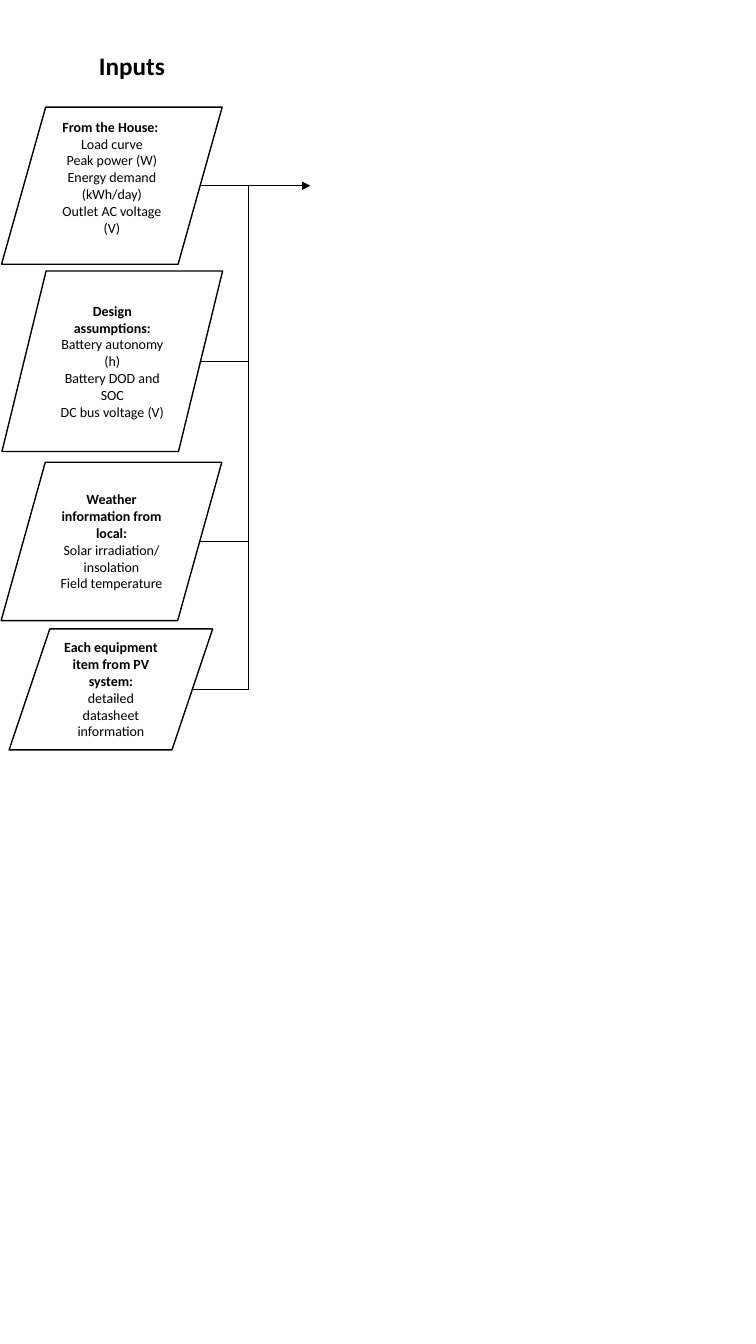
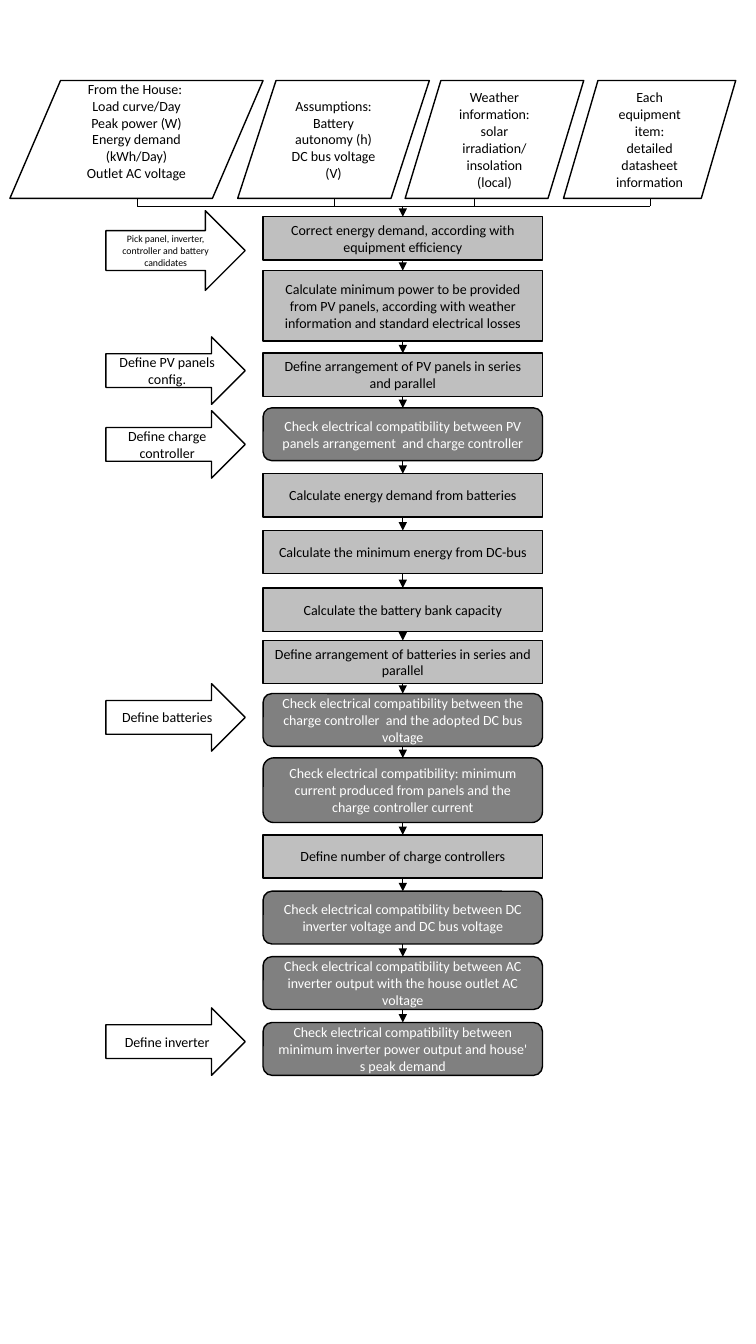
from itertools import pairwise
from lxml import etree
from pptx import Presentation
from pptx import util as u
from pptx.dml import color
from pptx.enum import shapes, text
from pptx.oxml import ns

Cm = u.Cm
COLORS = {"ink": "000000", "paper": "FFFFFF", "step": "BFBFBF", "check": "808080"}
FONT = "Calibri"
KINDS = {
    "input": (shapes.MSO_SHAPE.FLOWCHART_DATA, "paper", "ink"),
    "choice": (shapes.MSO_SHAPE.RIGHT_ARROW, "paper", "ink"),
    "step": (shapes.MSO_SHAPE.FLOWCHART_PROCESS, "step", "ink"),
    "check": (shapes.MSO_SHAPE.FLOWCHART_ALTERNATE_PROCESS, "check", "paper"),
}


def box(s, kind, x, y, w, h, lines, size=10, bold_first=False, bottom=0.13):
    preset, fill, ink = KINDS[kind]
    sp = s.shapes.add_shape(preset, Cm(x), Cm(y), Cm(w), Cm(h))
    sp.shadow.inherit = False
    sp.fill.solid()
    sp.fill.fore_color.rgb = color.RGBColor.from_string(COLORS[fill])
    sp.line.color.rgb = color.RGBColor.from_string(COLORS["ink"])
    sp.line.width = u.Pt(1)
    tf = sp.text_frame
    for name, value in {"word_wrap": True, "margin_bottom": Cm(bottom),
                        "vertical_anchor": text.MSO_ANCHOR.MIDDLE}.items():
        setattr(tf, name, value)
    for i, line in enumerate(lines):
        p = tf.add_paragraph() if i else tf.paragraphs[0]
        p.alignment = text.PP_ALIGN.CENTER
        r = p.add_run()
        r.text = line
        for name, value in {"name": FONT, "size": u.Pt(size),
                            "bold": bold_first and i == 0}.items():
            setattr(r.font, name, value)
        r.font.color.rgb = color.RGBColor.from_string(COLORS[ink])


def wire(s, x1, y1, x2, y2, arrow=False, bend=None):
    kind = shapes.MSO_CONNECTOR.STRAIGHT if bend is None else shapes.MSO_CONNECTOR.ELBOW
    c = s.shapes.add_connector(kind, Cm(x1), Cm(y1), Cm(x2), Cm(y2))
    c.line.color.rgb = color.RGBColor.from_string(COLORS["ink"])
    c.line.width = u.Pt(0.5)
    if bend is not None:
        guides = c._element.spPr.find(ns.qn("a:prstGeom")).get_or_add_avLst()
        share = round((bend - x1) / (x2 - x1) * 100000)
        etree.SubElement(guides, ns.qn("a:gd"), name="adj1", fmla=f"val {share}")
    if arrow:
        etree.SubElement(c.line._get_or_add_ln(), ns.qn("a:tailEnd"), type="triangle")
    etree.SubElement(c._element.spPr, ns.qn("a:effectLst"))
    return c


prs = Presentation()
prs.slide_width, prs.slide_height = Cm(19.05), Cm(33.87)

s = prs.slides.add_slide(prs.slide_layouts[5])
title = s.shapes.title
for name, value in {"left": 2.24, "top": 1.14, "width": 3.86, "height": 1.02}.items():
    setattr(title, name, Cm(value))
tf = title.text_frame
tf.text = "Inputs"
tf.vertical_anchor = text.MSO_ANCHOR.TOP
p = tf.paragraphs[0]
p.alignment = text.PP_ALIGN.LEFT
for name, value in {"name": FONT, "size": u.Pt(18), "bold": True}.items():
    setattr(p.runs[0].font, name, value)
p.runs[0].font.color.rgb = color.RGBColor.from_string(COLORS["ink"])

inputs = [
    (0.04, 2.7, 5.56, 3.96, 0.56,
     ["From the House: ", "Load curve", "Peak power (W)", "Energy demand (kWh/day)",
      "Outlet AC voltage (V)"]),
    (0.05, 6.83, 5.56, 4.55, 0.13,
     ["Design assumptions:", "Battery autonomy (h)", "Battery DOD and SOC",
      "DC bus voltage (V)"]),
    (0.03, 11.65, 5.56, 3.99, 0.13,
     ["Weather information from local:", "Solar irradiation/ insolation",
      "Field temperature"]),
    (0.23, 15.85, 5.13, 3.05, 0.13,
     ["Each equipment item from PV system:", "detailed datasheet information"]),
]
for x, y, w, h, bottom, lines in inputs:
    box(s, "input", x, y, w, h, lines, bold_first=True, bottom=bottom)
exits = [(x + 0.9 * w, y + h / 2) for x, y, w, h, bottom, lines in inputs]
for upper, lower in pairwise(exits):
    wire(s, *upper, *lower, bend=6.27)
wire(s, *exits[0], 7.82, exits[0][1], arrow=True)

s = prs.slides.add_slide(prs.slide_layouts[6])
sources = [
    (0.25, 6.38, 0.56,
     ["From the House: ", "Load curve/Day", "Peak power (W)", "Energy demand (kWh/Day)",
      "Outlet AC voltage"]),
    (5.99, 4.83, 0.13, ["Assumptions:", "Battery autonomy (h)", "DC bus voltage (V)"]),
    (10.21, 4.5, 0.13, ["Weather information:", "solar irradiation/ insolation (local)"]),
    (14.2, 4.34, 0.13, ["Each equipment item:", "detailed datasheet information"]),
]
source_y, source_h, bus_y = 2.03, 2.97, 5.19
for x, w, bottom, lines in sources:
    box(s, "input", x, source_y, w, source_h, lines, bottom=bottom)

source_end = source_y + source_h
house_x, assumptions_x, weather_x, equipment_x = 3.45, 8.41, 11.96, 16.38
middle_x, half = (house_x + assumptions_x) / 2, (assumptions_x - house_x) / 2
link = wire(s, middle_x + 0.01, source_end + half, middle_x, source_end - half,
            bend=middle_x + 0.01 + bus_y - source_end)
link._element.spPr.find(ns.qn("a:xfrm")).set("rot", str(90 * 60000))
wire(s, assumptions_x, bus_y, equipment_x, bus_y)
for x in (weather_x, equipment_x):
    wire(s, x, source_end, x, bus_y)

steps = [
    ("step", 5.46, 1.09, "Correct energy demand, according with equipment efficiency"),
    ("step", 6.82, 1.77, "Calculate minimum power to be provided from PV panels, "
     "according with weather information and standard electrical losses"),
    ("step", 8.9, 1.09, "Define arrangement of PV panels in series and parallel"),
    ("check", 10.28, 1.33, "Check electrical compatibility between PV panels "
     "arrangement  and charge controller"),
    ("step", 11.94, 1.09, "Calculate energy demand from batteries"),
    ("step", 13.37, 1.09, "Calculate the minimum energy from DC-bus"),
    ("step", 14.82, 1.09, "Calculate the battery bank capacity"),
    ("step", 16.14, 1.09, "Define arrangement of batteries in series and parallel"),
    ("check", 17.48, 1.33, "Check electrical compatibility between the charge "
     "controller  and the adopted DC bus voltage"),
    ("check", 19.1, 1.63, "Check electrical compatibility: minimum current produced "
     "from panels and the charge controller current"),
    ("step", 21.04, 1.09, "Define number of charge controllers"),
    ("check", 22.46, 1.33, "Check electrical compatibility between DC inverter voltage "
     "and DC bus voltage"),
    ("check", 24.11, 1.33, "Check electrical compatibility between AC inverter output "
     "with the house outlet AC voltage"),
    ("check", 25.77, 1.33, "Check electrical compatibility between minimum inverter "
     "power output and house' s peak demand"),
]
step_x, step_w, above = 6.63, 7.04, bus_y
for kind, y, h, label in steps:
    box(s, kind, step_x, y, step_w, h, [label])
    wire(s, step_x + step_w / 2, above, step_x + step_w / 2, y, arrow=True)
    above = y + h

choices = [
    (5.31, 2.01, 7, "Pick panel, inverter, controller and battery candidates"),
    (8.49, 1.7, 10, "Define PV panels config."),
    (10.35, 1.7, 10, "Define charge controller"),
    (17.23, 1.7, 10, "Define batteries"),
    (25.4, 1.7, 10, "Define inverter"),
]
for y, h, size, label in choices:
    box(s, "choice", 2.67, y, 3.51, h, [label], size=size)

prs.save("out.pptx")
